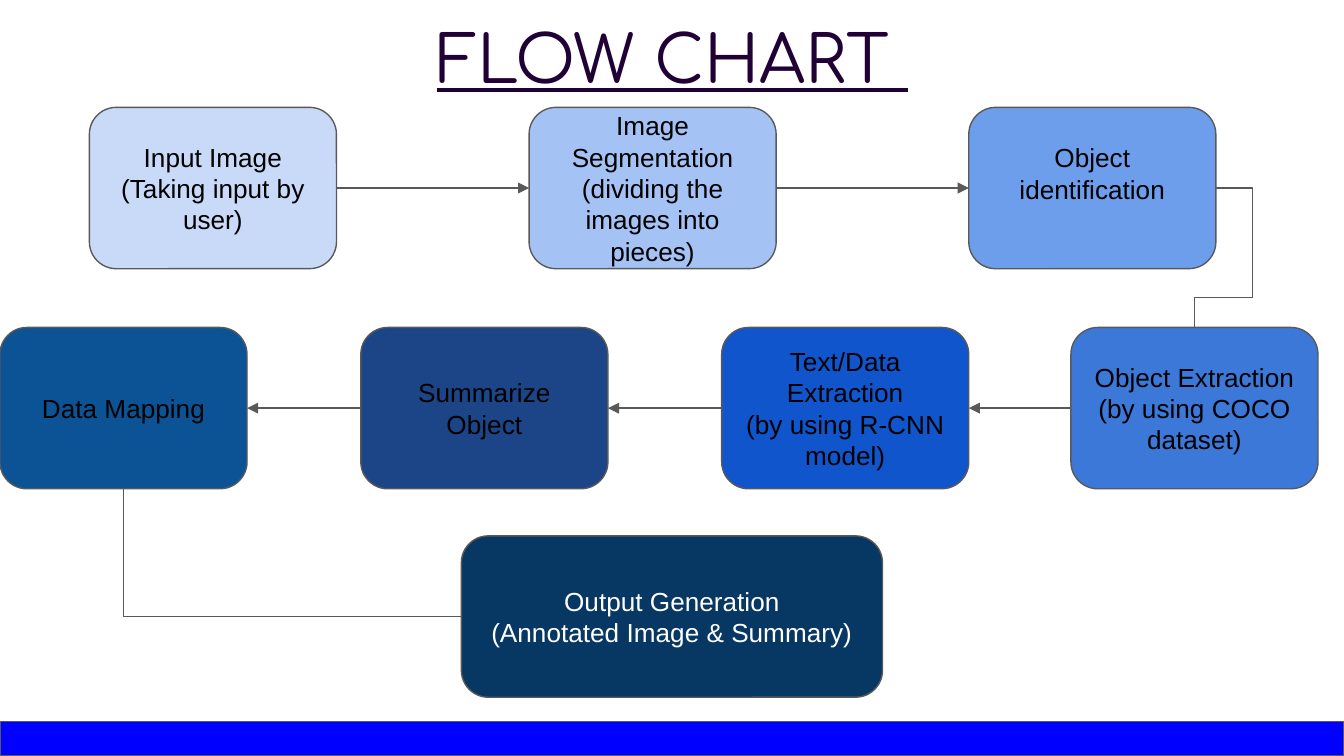
"""Build a flow chart slide of an image segmentation and summary pipeline."""
from lxml import etree
from pptx import Presentation
from pptx.dml.color import RGBColor
from pptx.enum.shapes import MSO_CONNECTOR, MSO_SHAPE
from pptx.enum.text import MSO_ANCHOR, PP_ALIGN
from pptx.oxml.ns import qn
from pptx.util import Cm, Pt

RECTANGLE, ROUNDED = MSO_SHAPE.RECTANGLE, MSO_SHAPE.ROUNDED_RECTANGLE
STRAIGHT, ELBOW = MSO_CONNECTOR.STRAIGHT, MSO_CONNECTOR.ELBOW
CENTER, MIDDLE = PP_ALIGN.CENTER, MSO_ANCHOR.MIDDLE
TOP, LEFT, BOTTOM, RIGHT = range(4)

BLACK = RGBColor(0x00, 0x00, 0x00)
WHITE = RGBColor(0xFF, 0xFF, 0xFF)
PURPLE = RGBColor(0x21, 0x00, 0x35)
GRAY = RGBColor(0x59, 0x59, 0x59)
BLUE = RGBColor(0x00, 0x00, 0xFF)

SLIDE_WIDTH, SLIDE_HEIGHT = 25.4, 14.29
BOX_WIDTH, BOX_HEIGHT, OUTPUT_WIDTH = 4.67, 3.05, 7.96
INSET, LINE_HEIGHT = 0.25, 0.57
TOP_ROW, MIDDLE_ROW, OUTPUT_ROW = 2.03, 6.19, 10.13
TOP_START, TOP_STEP = 1.69, 8.31
MIDDLE_STEP, EXTRACTION_LEFT = 6.82, 20.24

TITLE = "FLOW CHART "
TOP_STEPS = [
    ("Input Image\n(Taking input by user)", RGBColor(0xC9, 0xDA, 0xF8)),
    ("Image Segmentation\n(dividing the images into pieces)", RGBColor(0xA4, 0xC2, 0xF4)),
    ("Object identification", RGBColor(0x6D, 0x9E, 0xEB)),
]
MIDDLE_STEPS = [
    ("Data Mapping", RGBColor(0x0B, 0x53, 0x94)),
    ("Summarize Object", RGBColor(0x1C, 0x45, 0x87)),
    ("Text/Data Extraction\n(by using R-CNN model)", RGBColor(0x11, 0x55, 0xCC)),
    ("Object Extraction\n(by using COCO dataset)", RGBColor(0x3C, 0x78, 0xD8)),
]
OUTPUT = ("Output Generation\n(Annotated Image & Summary)", RGBColor(0x07, 0x37, 0x63))


def write(shape, text, font_name, size, color, underline=None):
    frame = shape.text_frame
    frame.word_wrap = True
    frame.vertical_anchor = MIDDLE
    frame.margin_left = frame.margin_right = Cm(INSET)
    frame.margin_top = frame.margin_bottom = Cm(INSET)
    frame.text = text
    for paragraph in frame.paragraphs:
        paragraph.alignment = CENTER
        for span in paragraph.runs:
            span.font.name = font_name
            span.font.size = Pt(size)
            span.font.color.rgb = color
            span.font.underline = underline


def add_block(page, kind, left, top, width, height, fill):
    block = page.shapes.add_shape(kind, Cm(left), Cm(top), Cm(width), Cm(height))
    block.shadow.inherit = False
    block.fill.solid()
    block.fill.fore_color.rgb = fill
    block.line.color.rgb = GRAY
    block.line.width = Pt(0.75)
    return block


def add_step(page, step, left, top, width=BOX_WIDTH, color=BLACK):
    text, fill = step
    box = add_block(page, ROUNDED, left, top, width, BOX_HEIGHT, fill)
    write(box, text, "Arial", 14, color)
    return box


def join(page, kind, start, start_side, end, end_side):
    link = page.shapes.add_connector(kind, 0, 0, 0, 0)
    link.begin_connect(start, start_side)
    link.end_connect(end, end_side)
    link.line.color.rgb = GRAY
    link.line.width = Pt(0.75)
    etree.SubElement(link._element.spPr, qn("a:effectLst"))
    return link


def add_arrow(page, start, start_side, end, end_side):
    arrow = join(page, STRAIGHT, start, start_side, end, end_side)
    etree.SubElement(arrow.line._get_or_add_ln(), qn("a:tailEnd"), type="triangle")


def bend(link, preset, **adjustments):
    geometry = link._element.spPr.find(qn("a:prstGeom"))
    geometry.set("prst", preset)
    guides = geometry.find(qn("a:avLst"))
    for name, value in adjustments.items():
        etree.SubElement(guides, qn("a:gd"), name=name, fmla=f"val {value}")


def main():
    deck = Presentation()
    deck.slide_width, deck.slide_height = Cm(SLIDE_WIDTH), Cm(SLIDE_HEIGHT)
    page = deck.slides.add_slide(deck.slide_layouts[6])

    add_block(page, RECTANGLE, 0, 13.64, SLIDE_WIDTH, 0.65, BLUE)
    title = page.shapes.add_textbox(Cm(5.69), Cm(-0.94), Cm(14.05), Cm(4.04))
    write(title, TITLE, "Comfortaa", 35, PURPLE, underline=True)

    top_boxes = [
        add_step(page, step, TOP_START + index * TOP_STEP, TOP_ROW)
        for index, step in enumerate(TOP_STEPS)
    ]
    identification = top_boxes[-1]
    identification.text_frame.margin_bottom = Cm(INSET + LINE_HEIGHT)

    middle_lefts = [index * MIDDLE_STEP for index in range(3)] + [EXTRACTION_LEFT]
    middle_boxes = [
        add_step(page, step, left, MIDDLE_ROW)
        for step, left in zip(MIDDLE_STEPS, middle_lefts)
    ]
    output_left = (SLIDE_WIDTH - OUTPUT_WIDTH) / 2
    output = add_step(page, OUTPUT, output_left, OUTPUT_ROW, OUTPUT_WIDTH, WHITE)

    for start, end in zip(top_boxes, top_boxes[1:]):
        add_arrow(page, start, RIGHT, end, LEFT)
    for end, start in zip(middle_boxes, middle_boxes[1:]):
        add_arrow(page, start, LEFT, end, RIGHT)

    extraction_link = join(page, ELBOW, identification, RIGHT, middle_boxes[-1], TOP)
    bend(extraction_link, "bentConnector4", adj1=-169600, adj2=78700)
    output_link = join(page, ELBOW, output, LEFT, middle_boxes[0], BOTTOM)
    bend(output_link, "bentConnector2")

    deck.save("out.pptx")


if __name__ == "__main__":
    main()
